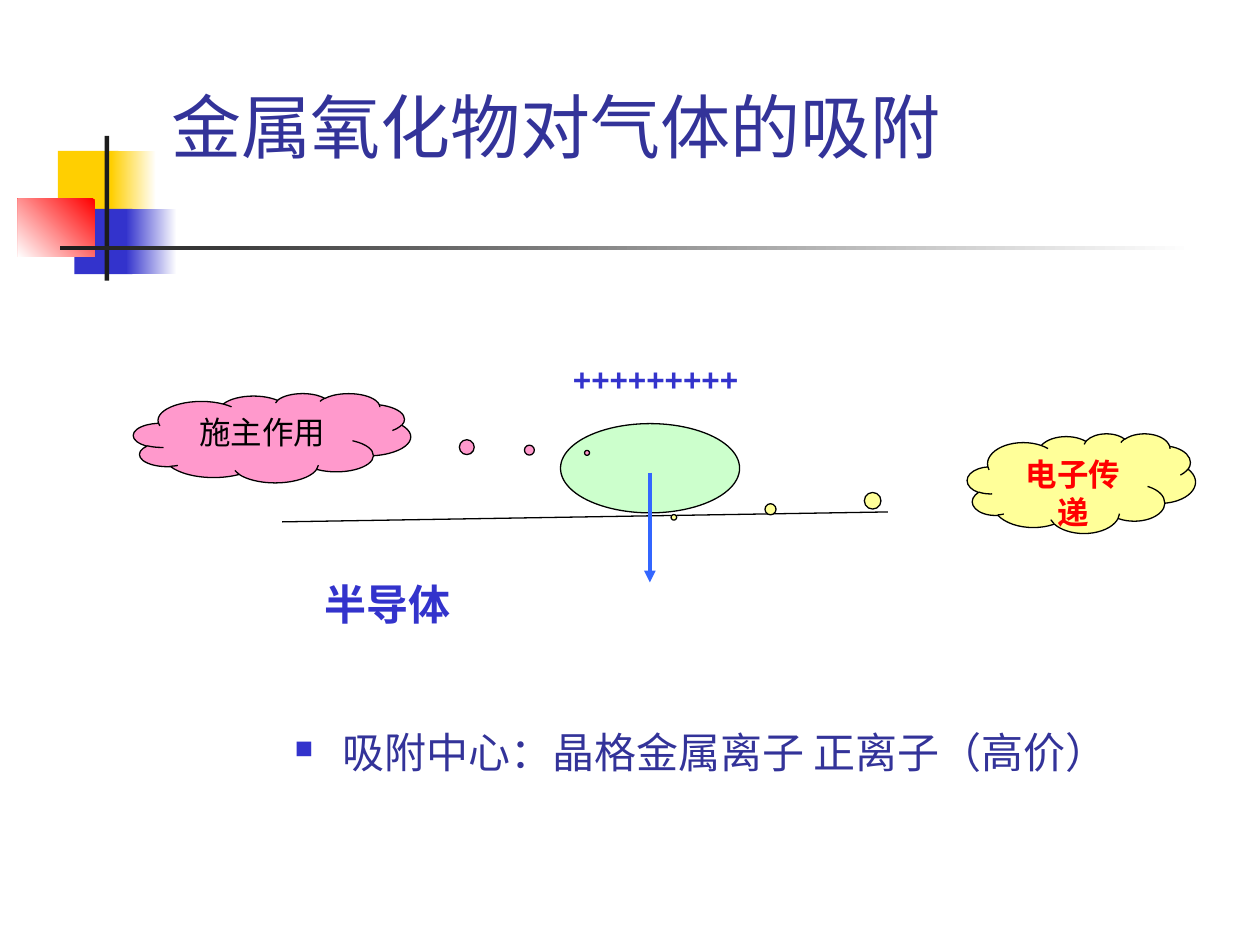
from lxml.etree import SubElement
from pptx import Presentation
from pptx.dml.color import RGBColor
from pptx.enum.shapes import MSO_CONNECTOR, MSO_SHAPE
from pptx.enum.text import MSO_ANCHOR, PP_ALIGN
from pptx.oxml.ns import qn
from pptx.util import Cm, Pt

HUES = {
    "white": "FFFFFF", "black": "000000", "ink": "1C1C1C", "gold": "FFCF01",
    "blue": "3333CC", "navy": "333399", "red": "FF0000", "mint": "CCFFCC",
    "lemon": "FFFF99", "pink": "FF99CC", "sky": "3366FF",
}
CJK = "Noto Sans CJK SC"


def hue(name):
    """Return the named colour."""
    return RGBColor.from_string(HUES[name])


def place(box, x, y):
    """Return a point, given relative to the box, as lengths."""
    return Cm(box[0] + x), Cm(box[1] + y)


def style(para, text, look):
    """Put a run in the paragraph and set its font from the dict."""
    run = para.add_run()
    run.text = text
    for key, val in look.items():
        if key == "color":
            run.font.color.rgb = hue(val)
        else:
            setattr(run.font, key, val)
    SubElement(run.font._element, qn("a:ea"), typeface=CJK)


def write(frame, text, look, **form):
    """Fill a text frame and return its paragraph."""
    form = {"word_wrap": True, "vertical_anchor": MSO_ANCHOR.TOP, **form}
    for key, val in form.items():
        setattr(frame, key, val)
    para = frame.paragraphs[0]
    style(para, text, look)
    return para


def label(slide, box, area, text, look, **form):
    """Add a text box at an area relative to the box."""
    x, y, w, h = area
    item = slide.shapes.add_textbox(*place(box, x, y), Cm(w), Cm(h))
    return write(item.text_frame, text, look, **form)


def solid(slide, box, area, kind, fill, edge=None):
    """Add a plain shape at an area relative to the box."""
    x, y, w, h = area
    item = slide.shapes.add_shape(kind, *place(box, x, y), Cm(w), Cm(h))
    item.shadow.inherit = False
    item.fill.solid()
    item.fill.fore_color.rgb = hue(fill)
    if edge:
        item.line.color.rgb = hue(edge)
        item.line.width = Pt(0.75)
    else:
        item.line.fill.background()
    return item


def fade(slide, box, area, first, last, angle=180):
    """Add a rectangle that blends from one colour to another."""
    item = solid(slide, box, area, MSO_SHAPE.RECTANGLE, first)
    item.fill.gradient()
    item.fill.gradient_angle = angle
    for stop, name, pos in zip(item.fill.gradient_stops, (first, last), (0, 1)):
        stop.color.rgb = hue(name)
        stop.position = pos


def line(slide, box, start, end, color, width, arrow=False):
    """Add a straight line, with an arrowhead at its end if asked."""
    item = slide.shapes.add_connector(
        MSO_CONNECTOR.STRAIGHT, *place(box, *start), *place(box, *end))
    item.line.color.rgb = hue(color)
    item.line.width = Pt(width)
    props = item._element.spPr
    if arrow:
        SubElement(props.find(qn("a:ln")), qn("a:tailEnd"), type="triangle")
    SubElement(props, qn("a:effectLst"))


def cloud(slide, box, area, fill, tip, text, look):
    """Add a cloud callout with centred text."""
    item = solid(slide, box, area, MSO_SHAPE.CLOUD_CALLOUT, fill, "black")
    for num, val in enumerate(tip):
        item.adjustments[num] = val
    para = write(item.text_frame, text, look)
    para.alignment = PP_ALIGN.CENTER


def motif(slide, box):
    """Draw the coloured blocks and the crossing rules."""
    for color, x, y, w, tail in (("gold", 0.81, 0.3, 1.22, (1.88, 0.91)),
                                 ("blue", 1.14, 1.47, 1.17, (2.18, 1.02))):
        solid(slide, box, (x, y, w, 1.32), MSO_SHAPE.RECTANGLE, color)
        fade(slide, box, (tail[0], y, tail[1], 1.32), "white", color)
    fade(slide, box, (0, 1.27, 1.55, 1.17), "red", "white", 225)
    solid(slide, box, (1.75, 0, 0.09, box[3]), MSO_SHAPE.RECTANGLE, "ink")
    fade(slide, box, (0.86, 2.21, 22.86, 0.09), "white", "ink")


def title(slide, box):
    """Write the slide title at the foot of its box."""
    look = {"size": Pt(40), "name": "Roboto", "color": "navy"}
    label(slide, box, (0, 0, *box[2:]), "金属氧化物对气体的吸附", look,
          vertical_anchor=MSO_ANCHOR.BOTTOM)


def scene(slide, box):
    """Draw the adsorbed ion on the semiconductor surface."""
    base = {"size": Pt(18), "name": "Arial", "bold": True, "color": "blue"}
    line(slide, box, (3, 3.38), (15.21, 3.18), "black", 0.75)
    solid(slide, box, (8.61, 1.4, 3.61, 1.8), MSO_SHAPE.OVAL, "mint", "black")
    label(slide, box, (8.61, 0, 3.84, 1.02), "+++++++++", base, word_wrap=False)
    line(slide, box, (10.41, 2.39), (10.41, 4.6), "sky", 2.25, True)
    cloud(slide, box, (16.81, 1.6, 4.6, 2.01), "lemon", (-1.786, 0.341),
          "电子传递", {**base, "color": "red"})
    label(slide, box, (3.61, 4.39, 3.4, 1.27), "半导体", {**base, "size": Pt(24)})
    cloud(slide, box, (0, 0.79, 5.59, 1.8), "pink", (1.136, 0.167),
          "施主作用", {**base, "bold": False, "color": "black"})


def body(slide, box):
    """Write the bulleted statement."""
    look = {"size": Pt(24), "name": CJK, "color": "navy"}
    para = label(slide, box, (0, 0, *box[2:]),
                 "吸附中心：晶格金属离子 正离子（高价）", look)
    props = para._p.get_or_add_pPr()
    for key, val in {"marL": Cm(0.96), "indent": -Cm(0.96)}.items():
        props.set(key, str(int(val)))
    tint = SubElement(props, qn("a:buClr"))
    SubElement(tint, qn("a:srgbClr"), val=HUES["blue"])
    SubElement(props, qn("a:buSzPct"), val="60000")
    SubElement(props, qn("a:buChar"), char="■")


def main():
    """Build the slide and save it."""
    deck = Presentation()
    deck.slide_width, deck.slide_height = Cm(25.4), Cm(19.05)
    slide = deck.slides.add_slide(deck.slide_layouts[6])
    motif(slide, (0.36, 2.74, 23.72, 2.92))
    title(slide, (3.2, 0.58, 21.64, 2.92))
    body(slide, (5.69, 14.53, 18.21, 1.6))
    scene(slide, (2.69, 7.14, 21.41, 5.66))
    deck.save("out.pptx")


if __name__ == "__main__":
    main()
